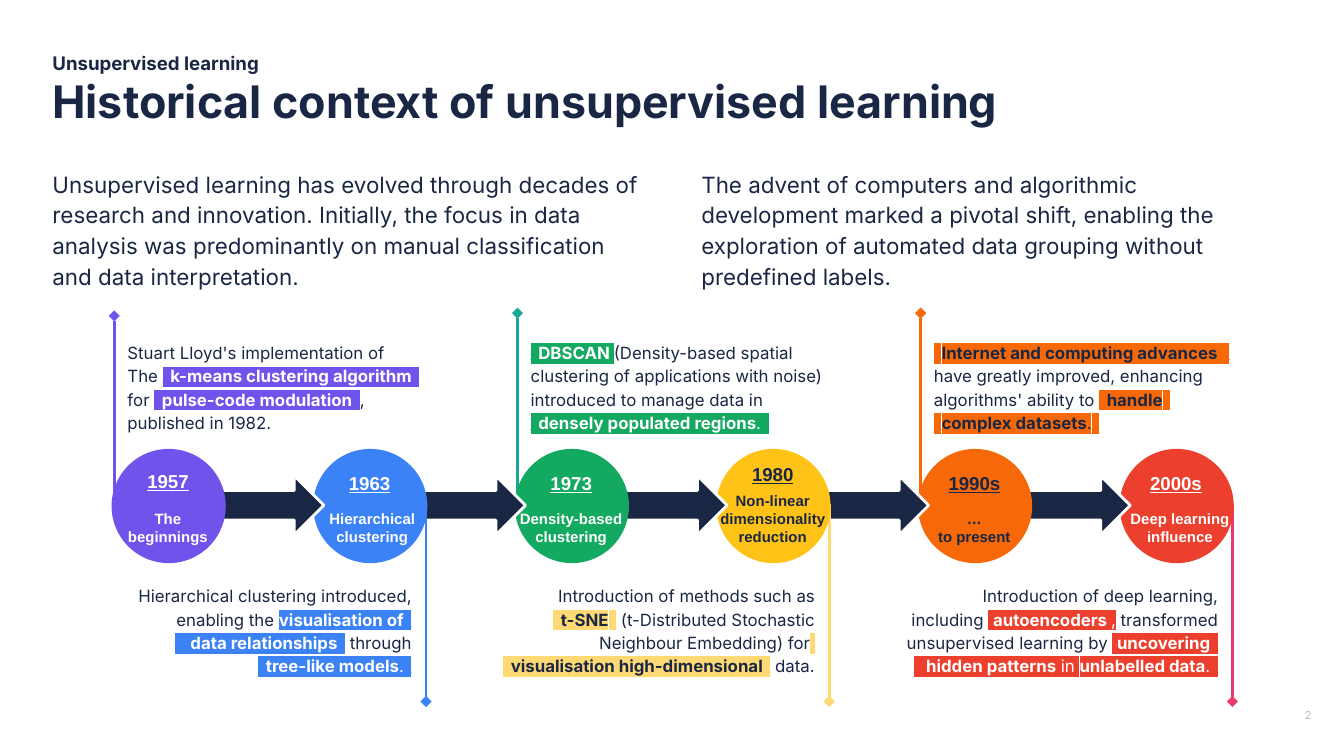
import copy

import pptx
import pptx.dml.color
import pptx.enum.shapes
import pptx.enum.text
import pptx.oxml.ns
import pptx.oxml.xmlchemy
import pptx.util

Inches = pptx.util.Inches
Pt = pptx.util.Pt
RGBColor = pptx.dml.color.RGBColor
SHAPE = pptx.enum.shapes.MSO_SHAPE
ALIGN = pptx.enum.text.PP_ALIGN
ANCHOR = pptx.enum.text.MSO_ANCHOR
Element = pptx.oxml.xmlchemy.OxmlElement
qn = pptx.oxml.ns.qn

NAVY = RGBColor(0x1A, 0x27, 0x44)
WHITE = RGBColor(0xFF, 0xFF, 0xFF)
GREY = RGBColor(0xBA, 0xBE, 0xC7)
PURPLE = RGBColor(0x70, 0x53, 0xEA)
BLUE = RGBColor(0x3B, 0x82, 0xF6)
GREEN = RGBColor(0x14, 0xA9, 0x61)
TEAL = RGBColor(0x1B, 0xA7, 0x96)
YELLOW = RGBColor(0xFF, 0xC2, 0x17)
PALE_YELLOW = RGBColor(0xFF, 0xDA, 0x74)
ORANGE = RGBColor(0xF7, 0x68, 0x08)
RED = RGBColor(0xED, 0x3F, 0x2E)
PINK = RGBColor(0xEA, 0x39, 0x6B)

PLAIN, STRONG, SOFT, PAD = "plain", "strong", "soft", "pad"
GAP = ("_", PAD)


class TimelineSlide:
    body_font = "Inter"
    label_font = "Arial"

    def __init__(self, prs):
        self.s = prs.slides.add_slide(prs.slide_layouts[6])

    def frame(self, x, y, w, h, insets=(0.1, 0.1), anchor=ANCHOR.TOP):
        sp = self.s.shapes.add_textbox(Inches(x), Inches(y), Inches(w), Inches(h))
        tf = sp.text_frame
        tf.word_wrap = True
        tf.vertical_anchor = anchor
        tf.margin_left = Inches(insets[0])
        tf.margin_right = Inches(0.1)
        tf.margin_top = tf.margin_bottom = Inches(insets[1])
        return tf

    def run(self, p, text, size, color, bold=False, font=None, highlight=None):
        for i, part in enumerate(text.split("\n")):
            if i:
                p.add_line_break()
                p._p[-1].append(copy.deepcopy(p.runs[-1]._r.rPr))
            if not part:
                continue
            r = p.add_run()
            r.text = part
            r.font.size = Pt(size)
            r.font.bold = bold
            r.font.color.rgb = color
            r.font.name = font or self.body_font
            if highlight is not None:
                mark = Element("a:highlight")
                clr = Element("a:srgbClr")
                clr.set("val", str(highlight))
                mark.append(clr)
                r._r.rPr.find(qn("a:solidFill")).addnext(mark)

    def text(self, box, text, size, color=NAVY, bold=False, spaced=False, **frame):
        p = self.frame(*box, **frame).paragraphs[0]
        if spaced:
            p.line_spacing = 1.15
            p.space_after = Pt(12)
        self.run(p, text, size, color, bold)

    def label(self, cx, y, w, h, lines, size, color, underline=False):
        tf = self.frame(cx - w / 2, y, w, h)
        for i, line in enumerate(lines):
            p = tf.add_paragraph() if i else tf.paragraphs[0]
            p.alignment = ALIGN.CENTER
            self.run(p, line, size, color, True, self.label_font)
            p.runs[0].font.underline = underline

    def card(self, x, y, w, align, accent, strong, runs):
        p = self.frame(x, y, w, 1.03, anchor=ANCHOR.MIDDLE).paragraphs[0]
        p.alignment = align
        p.line_spacing = 1.15
        p.space_after = Pt(12)
        colors = {PLAIN: NAVY, STRONG: strong, SOFT: strong, PAD: accent}
        for text, kind in runs:
            self.run(p, text, 9, colors[kind], kind == STRONG,
                     highlight=None if kind == PLAIN else accent)

    def shape(self, kind, x, y, w, h, fill, outline=None):
        sp = self.s.shapes.add_shape(kind, Inches(x), Inches(y), Inches(w), Inches(h))
        sp.shadow.inherit = False
        sp.fill.solid()
        sp.fill.fore_color.rgb = fill
        if outline is None:
            sp.line.fill.background()
        else:
            sp.line.color.rgb = outline
            sp.line.width = Pt(1.5)

    def stem(self, x, y1, y2, color):
        sp = self.s.shapes.add_connector(pptx.enum.shapes.MSO_CONNECTOR.STRAIGHT,
                                         Inches(x), Inches(y1), Inches(x), Inches(y2))
        sp.line.width = Pt(1.5)
        sp.line.color.rgb = color
        tail = Element("a:tailEnd")
        tail.set("type", "diamond")
        sp.line._get_or_add_ln().append(tail)
        sp._element.spPr.append(Element("a:effectLst"))

    def milestone(self, i, fill, stem, accent, ink, year, year_y, lines, label_dx, label_y,
                  card_w, runs):
        x = 0.83 + 1.5 * i
        cx = x + 0.42
        if i % 2:
            self.stem(x + 0.84, 3.75, 5.22, stem)
            self.card(x + 0.83 - card_w, 4.17, card_w, ALIGN.RIGHT, accent, ink, runs)
        else:
            self.stem(x + 0.02, 3.79, 2.33 if i else 2.35, stem)
            self.card(x + 0.02, 2.36, card_w, ALIGN.LEFT, accent, ink, runs)
        self.shape(SHAPE.OVAL, x, 3.34, 0.85, 0.85, fill)
        if i:
            self.shape(SHAPE.RIGHT_ARROW, x - 0.79, 3.54, 0.87, 0.44, NAVY, WHITE)
        self.label(cx + label_dx, label_y, 1, 0.47, lines, 8, ink)
        self.label(cx, year_y, 0.63, 0.37, [year], 10, ink, True)


MILESTONES = [
    (PURPLE, PURPLE, PURPLE, WHITE, "1957", 3.41, ["The beginnings"], 0, 3.69, 2.41, [
        ("Stuart Lloyd's implementation of\nThe ", PLAIN), GAP,
        ("k-means clustering algorithm", STRONG), ("_\n", PAD), ("for ", PLAIN), GAP,
        ("pulse-code modulation", STRONG), GAP, (",\npublished in 1982.", PLAIN)]),
    (BLUE, BLUE, BLUE, WHITE, "1963", 3.43, ["Hierarchical clustering"], 0.02, 3.69, 2.34, [
        ("Hierarchical clustering introduced,\nenabling the ", PLAIN),
        ("visualisation of", STRONG), ("_\n__", PAD), ("data relationships", STRONG), GAP,
        (" through\n", PLAIN), GAP, ("tree-like models", STRONG), (".", SOFT), GAP]),
    (GREEN, TEAL, GREEN, WHITE, "1973", 3.43, ["Density-based clustering"], 0, 3.69, 2.41, [
        GAP, ("DBSCAN ", STRONG),
        ("(Density-based spatial\nclustering of applications with noise)\n"
         "introduced to manage data in\n", PLAIN), GAP,
        ("densely populated regions", STRONG), (".", SOFT), GAP]),
    (YELLOW, PALE_YELLOW, PALE_YELLOW, NAVY, "1980", 3.36,
     ["Non-linear dimensionality reduction"], 0, 3.56, 2.56, [
        ("Introduction of methods such as\n", PLAIN), GAP, ("t-SNE", STRONG), GAP,
        (" (t-Distributed Stochastic\nNeighbour Embedding) for", PLAIN), (" \n", SOFT), GAP,
        ("visualisation high-dimensional", STRONG), GAP, (" data.", PLAIN)]),
    (ORANGE, ORANGE, ORANGE, NAVY, "1990s", 3.43, ["…", "to present"], 0, 3.69, 2.41, [
        GAP, ("Internet and computing advances", STRONG), (" ", SOFT), ("_\n", PAD),
        ("have greatly improved, enhancing\nalgorithms' ability to ", PLAIN), GAP,
        ("handle", STRONG), ("_\n_", PAD), ("complex datasets", STRONG), (".", SOFT), GAP]),
    (RED, PINK, RED, WHITE, "2000s", 3.43, ["Deep learning influence"], 0.03, 3.69, 2.56, [
        ("Introduction of deep learning,\nincluding ", PLAIN), (" ", SOFT),
        ("autoencoders ", STRONG), (",", SOFT),
        (" transformed\nunsupervised learning by ", PLAIN), (" ", SOFT),
        ("uncovering", STRONG), ("_\n_", PAD), (" ", SOFT), ("hidden patterns", STRONG),
        (" in ", SOFT), ("unlabelled data", STRONG), (".", SOFT), GAP]),
]


def main():
    prs = pptx.Presentation()
    prs.slide_width = Inches(10)
    prs.slide_height = prs.slide_width * 9 // 16
    slide = TimelineSlide(prs)
    slide.text((0.39, 0.39, 9.21, 0.16), "Unsupervised learning", 10, bold=True,
               insets=(0, 0.1), anchor=ANCHOR.MIDDLE)
    slide.text((0.39, 0.55, 9.21, 0.39), "Historical context of unsupervised learning", 24,
               bold=True, insets=(0, 0))
    slide.text((0.39, 1.14, 4.51, 4.08),
               "Unsupervised learning has evolved through decades of research and innovation. "
               "Initially, the focus in data analysis was predominantly on manual "
               "classification and data interpretation.", 12, spaced=True, insets=(0, 0.1))
    slide.text((5.12, 1.14, 4.5, 1.1),
               "The advent of computers and algorithmic development marked a pivotal shift, "
               "enabling the exploration of automated data grouping without predefined "
               "labels.", 12, spaced=True)
    for i, milestone in reversed(list(enumerate(MILESTONES))):
        slide.milestone(i, *milestone)
    slide.text((9.61, 5.22, 0.39, 0.28), "2", 6, GREY)
    prs.save("out.pptx")


if __name__ == "__main__":
    main()
